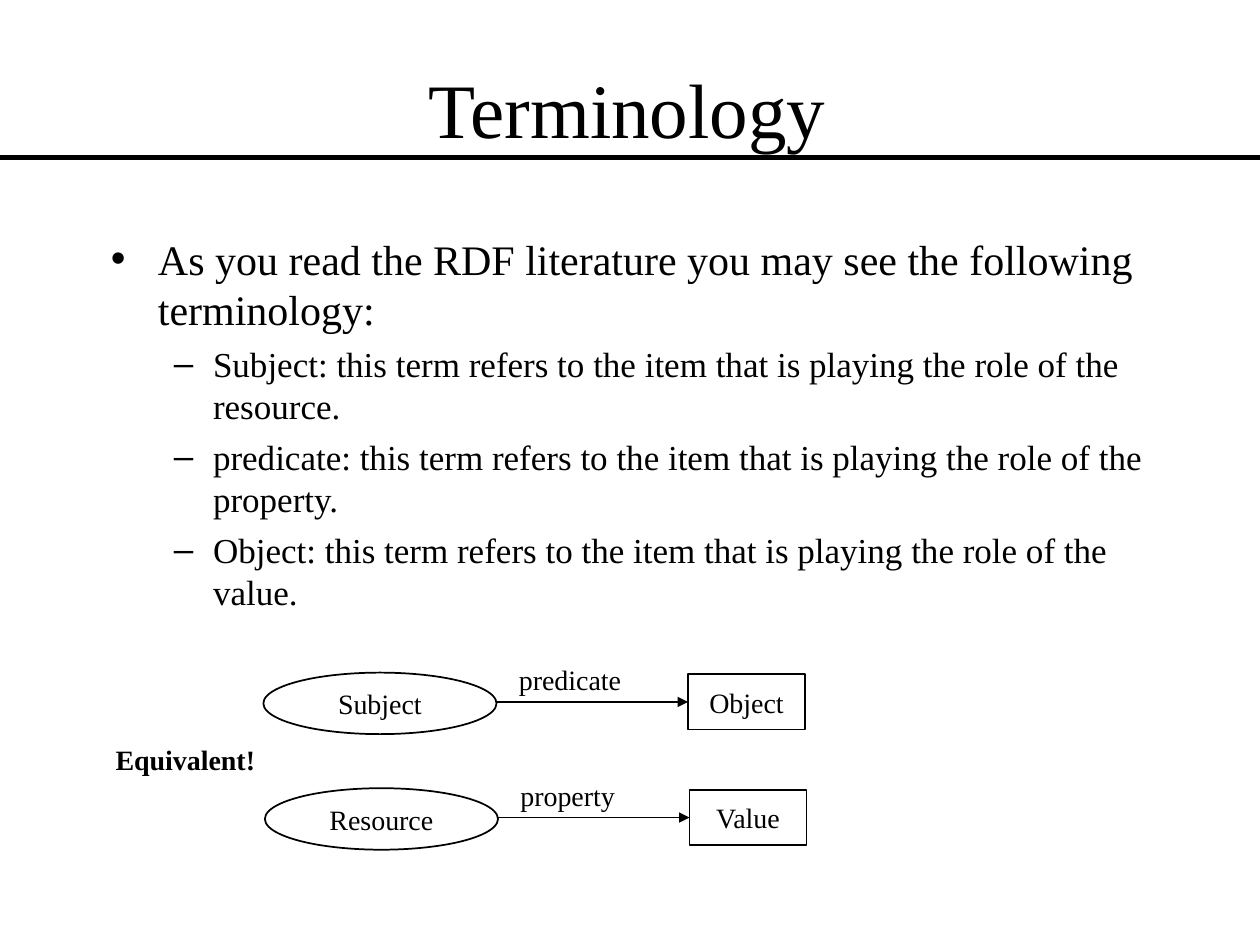
from lxml.etree import SubElement
from pptx import Presentation
from pptx.dml.color import RGBColor
from pptx.enum.shapes import MSO_CONNECTOR, MSO_SHAPE
from pptx.enum.text import MSO_ANCHOR, MSO_AUTO_SIZE, PP_ALIGN
from pptx.oxml.ns import qn
from pptx.util import Cm, Pt

FONT = "Times New Roman"
BLACK = "000000"
WHITE = "FFFFFF"
ROW_STEP = 2.33
ROW_SHIFT = 0.03

INTRODUCTION = "As you read the RDF literature you may see the following terminology:"
TERMS = [("Subject", "resource"), ("predicate", "property"), ("Object", "value")]
STATEMENTS = [("Subject", "predicate", "Object"), ("Resource", "property", "Value")]


def color(value):
    return RGBColor.from_string(value)


def place(shape, left, top, width, height):
    shape.left, shape.top = Cm(left), Cm(top)
    shape.width, shape.height = Cm(width), Cm(height)


def style_paragraph(paragraph, size, alignment=PP_ALIGN.LEFT, bold=False):
    paragraph.alignment = alignment
    paragraph.font.name = FONT
    paragraph.font.size = Pt(size)
    paragraph.font.bold = bold
    paragraph.font.color.rgb = color(BLACK)


def set_bullet(paragraph, character, margin, hanging):
    properties = paragraph._p.get_or_add_pPr()
    properties.set("marL", str(Cm(margin)))
    properties.set("indent", str(-Cm(hanging)))
    SubElement(properties, qn("a:buChar"), char=character)


def fill_title(title):
    place(title, 1.85, 0.58, 21.59, 3.18)
    title.text_frame.text = "Terminology"
    title.text_frame.vertical_anchor = MSO_ANCHOR.MIDDLE
    title.text_frame.auto_size = MSO_AUTO_SIZE.NONE
    style_paragraph(title.text_frame.paragraphs[0], 44, PP_ALIGN.CENTER)


def fill_body(body):
    place(body, 1.98, 4.57, 21.59, 8.03)
    frame = body.text_frame
    frame.auto_size = MSO_AUTO_SIZE.NONE
    definitions = [
        f"{term}: this term refers to the item that is playing the role of the {role}."
        for term, role in TERMS
    ]
    frame.text = "\n".join([INTRODUCTION, *definitions])
    for index, paragraph in enumerate(frame.paragraphs):
        is_definition = index > 0
        paragraph.level = int(is_definition)
        paragraph.space_before = Pt(5 if is_definition else 6)
        style_paragraph(paragraph, 20 if is_definition else 24)
        if is_definition:
            set_bullet(paragraph, "–", 2.06, 0.79)
        else:
            set_bullet(paragraph, "•", 0.95, 0.95)


def add_node(slide, kind, text, left, top, width, height):
    shape = slide.shapes.add_shape(kind, Cm(left), Cm(top), Cm(width), Cm(height))
    shape.shadow.inherit = False
    shape.fill.solid()
    shape.fill.fore_color.rgb = color(WHITE)
    shape.line.color.rgb = color(BLACK)
    shape.line.width = Pt(1)
    frame = shape.text_frame
    frame.text = text
    frame.word_wrap = False
    frame.vertical_anchor = MSO_ANCHOR.MIDDLE
    style_paragraph(frame.paragraphs[0], 16, PP_ALIGN.CENTER)
    return shape


def add_label(slide, text, left, top, width, bold=False):
    box = slide.shapes.add_textbox(Cm(left), Cm(top), Cm(width), Cm(0.94))
    frame = box.text_frame
    frame.text = text
    frame.word_wrap = False
    frame.auto_size = MSO_AUTO_SIZE.SHAPE_TO_FIT_TEXT
    style_paragraph(frame.paragraphs[0], 16, bold=bold)


def add_line(slide, left, right, top, width):
    line = slide.shapes.add_connector(
        MSO_CONNECTOR.STRAIGHT, Cm(left), Cm(top), Cm(right), Cm(top)
    )
    line.line.color.rgb = color(BLACK)
    line.line.width = Pt(width)
    SubElement(line._element.spPr, qn("a:effectLst"))
    return line


def add_statement(slide, row, source, relation, target):
    """Draw an ellipse joined to a rectangle by a labelled arrow."""
    x, y = row * ROW_SHIFT, row * ROW_STEP
    add_node(slide, MSO_SHAPE.OVAL, source, 5.31 + x, 13.56 + y, 4.7, 1.24)
    rectangle = add_node(
        slide, MSO_SHAPE.RECTANGLE, target, 13.87 + x, 13.59 + y, 2.36, 1.12
    )
    arrow = add_line(slide, 10.01 + x, 13.87 + x, 14.15 + y, 1)
    arrow.end_connect(rectangle, 1)
    SubElement(arrow.line._get_or_add_ln(), qn("a:tailEnd"), type="triangle")
    add_label(slide, relation, 10.21 + x, 13.23 + y, 2.65)


def main():
    presentation = Presentation()
    presentation.slide_width, presentation.slide_height = Cm(25.4), Cm(19.05)
    slide = presentation.slides.add_slide(presentation.slide_layouts[1])
    fill_title(slide.shapes.title)
    fill_body(slide.placeholders[1])
    for row, statement in enumerate(STATEMENTS):
        add_statement(slide, row, *statement)
    add_label(slide, "Equivalent!", 2.08, 14.84, 3.4, bold=True)
    add_line(slide, 0, 25.4, 3.18, 3)
    presentation.save("out.pptx")


if __name__ == "__main__":
    main()
